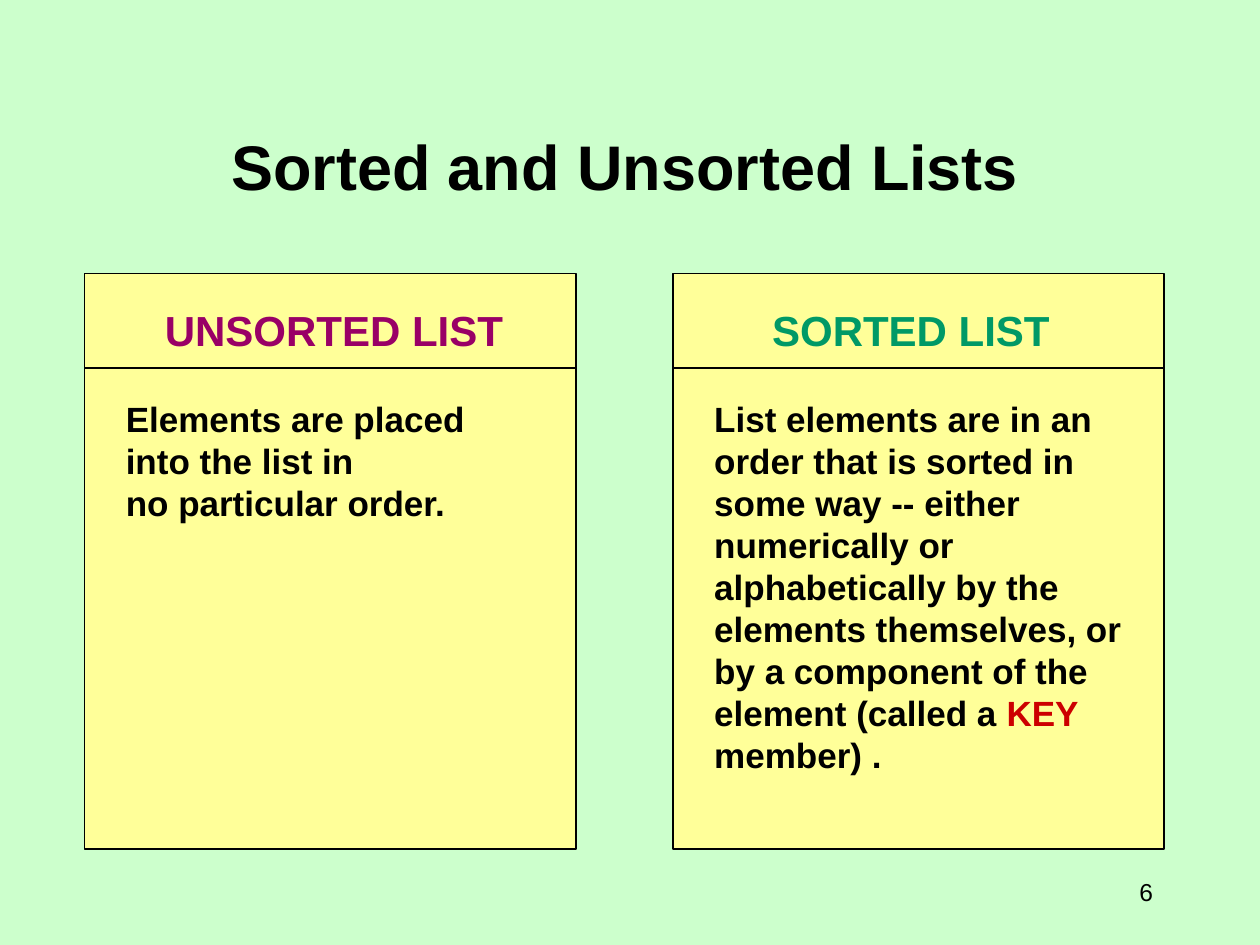
import pptx
import pptx.dml.color
import pptx.enum.shapes
import pptx.enum.text
import pptx.util
from lxml import etree
from pptx.dml.color import RGBColor
from pptx.util import Inches, Pt

BACKGROUND = RGBColor(0xCC, 0xFF, 0xCC)
PANEL = RGBColor(0xFF, 0xFF, 0x99)
BLACK = RGBColor(0, 0, 0)
PURPLE = RGBColor(0x99, 0x00, 0x66)
GREEN = RGBColor(0x00, 0x99, 0x66)
RED = RGBColor(0xCC, 0x00, 0x00)

PANEL_LEFT, PANEL_STEP = 0.67, 4.67
PANEL_TOP, PANEL_WIDTH, PANEL_HEIGHT = 2.17, 3.9, 4.57
RULE_TOP = 2.92
BODY_SIZE, HEADING_SIZE = 20, 24

# Heading, colour, heading indent, text height, paragraphs of (text, colour) runs
LISTS = [
    ("UNSORTED LIST", PURPLE, 0.31, 2.17, [
        [("Elements are placed into the list in", BLACK)],
        [("no particular order.", BLACK)],
    ]),
    ("SORTED LIST", GREEN, 0.46, 4.17, [
        [("List elements are in an order that is sorted in", BLACK)],
        [("some way -- either numerically or alphabetically by the elements "
          "themselves, or by a component of the element (called a", BLACK),
         (" KEY ", RED), ("member) .", BLACK)],
    ]),
]


def add_text_box(slide, left, top, width, height):
    box = slide.shapes.add_textbox(Inches(left), Inches(top), Inches(width), Inches(height))
    box.text_frame.word_wrap = True
    return box.text_frame


def write_paragraph(paragraph, runs, size, bold=True):
    paragraph.font.name = "Arial"
    paragraph.font.size = Pt(size)
    paragraph.font.bold = bold
    for text, color in runs:
        run = paragraph.add_run()
        run.text = text
        run.font.color.rgb = color


def add_title(slide, text):
    frame = add_text_box(slide, 0.67, 0.83, 8.58, 0.83)
    frame.vertical_anchor = pptx.enum.text.MSO_ANCHOR.BOTTOM
    frame.paragraphs[0].alignment = pptx.enum.text.PP_ALIGN.CENTER
    write_paragraph(frame.paragraphs[0], [(text, BLACK)], 36)


def add_page_number(slide, number):
    frame = add_text_box(slide, 8.58, 6.83, 0.67, 0.5)
    frame.vertical_anchor = pptx.enum.text.MSO_ANCHOR.MIDDLE
    frame.paragraphs[0].alignment = pptx.enum.text.PP_ALIGN.RIGHT
    write_paragraph(frame.paragraphs[0], [(number, BLACK)], 14, bold=False)


def add_panel(slide, left):
    panel = slide.shapes.add_shape(
        pptx.enum.shapes.MSO_SHAPE.RECTANGLE,
        Inches(left), Inches(PANEL_TOP), Inches(PANEL_WIDTH), Inches(PANEL_HEIGHT))
    panel.shadow.inherit = False
    panel.fill.solid()
    panel.fill.fore_color.rgb = PANEL
    panel.line.color.rgb = BLACK
    panel.line.width = Pt(1)


def add_rule(slide, left):
    rule = slide.shapes.add_connector(
        pptx.enum.shapes.MSO_CONNECTOR.STRAIGHT,
        Inches(left), Inches(RULE_TOP), Inches(left + PANEL_WIDTH), Inches(RULE_TOP))
    rule.line.color.rgb = BLACK
    rule.line.width = Pt(1)
    etree.SubElement(rule.element.spPr, pptx.oxml.ns.qn("a:effectLst"))


def add_list_text(slide, left, heading, color, indent, height, paragraphs):
    frame = add_text_box(slide, left + 0.23, 2.37, 3.43, height)
    first = frame.paragraphs[0]
    write_paragraph(first, [(heading, color)], HEADING_SIZE)
    properties = first._p.get_or_add_pPr()
    properties.set("marL", str(Inches(indent)))
    properties.set("indent", "0")
    first.space_after = Pt(BODY_SIZE * 1.2)
    for runs in paragraphs:
        write_paragraph(frame.add_paragraph(), runs, BODY_SIZE)


def main():
    presentation = pptx.Presentation()
    presentation.slide_width = Inches(10)
    presentation.slide_height = Inches(7.5)
    slide = presentation.slides.add_slide(presentation.slide_layouts[6])
    slide.background.fill.solid()
    slide.background.fill.fore_color.rgb = BACKGROUND

    add_title(slide, "Sorted and Unsorted Lists")
    for column, content in enumerate(LISTS):
        left = PANEL_LEFT + column * PANEL_STEP
        add_panel(slide, left)
        add_rule(slide, left)
        add_list_text(slide, left, *content)
    add_page_number(slide, "6")
    presentation.save("out.pptx")


if __name__ == "__main__":
    main()
